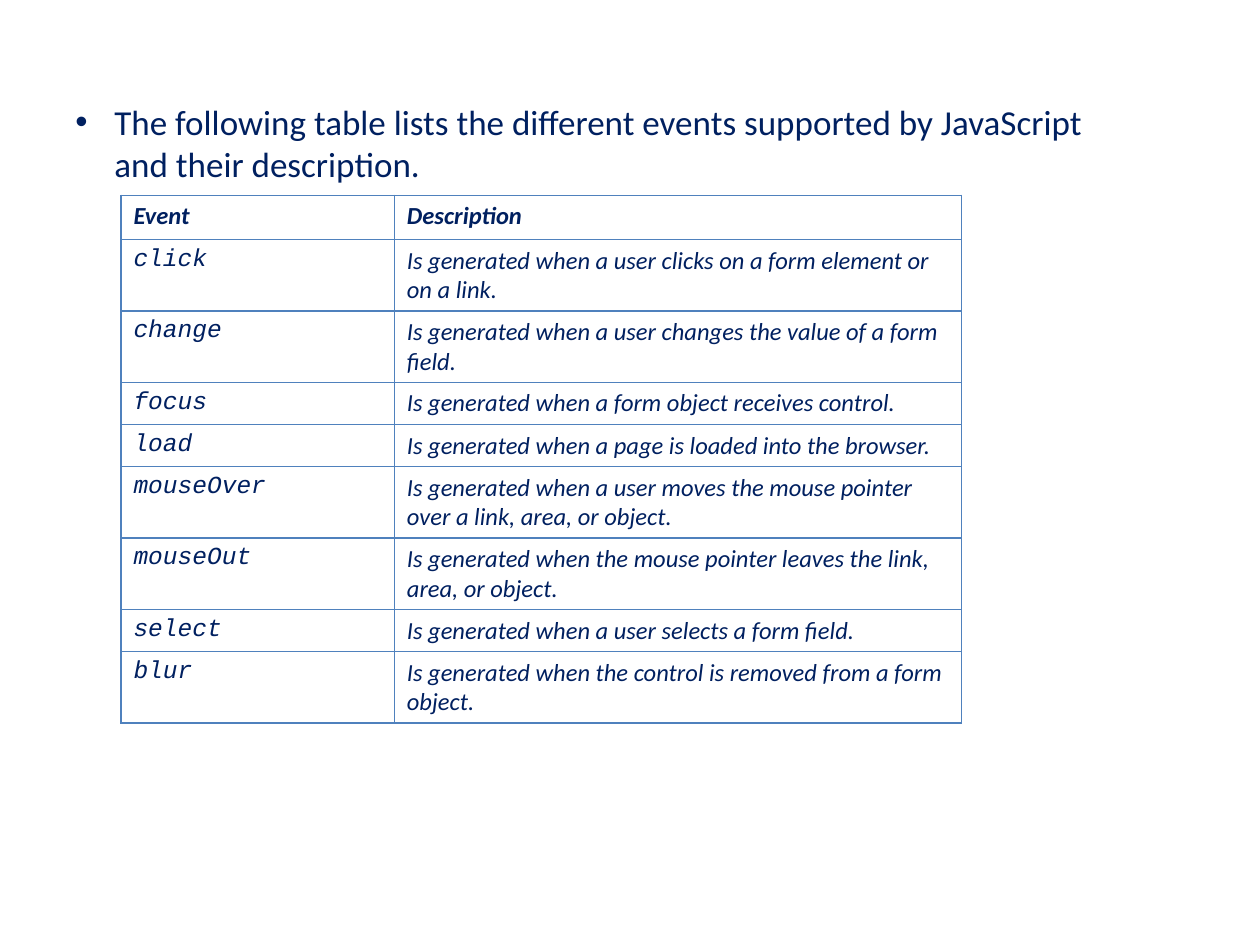
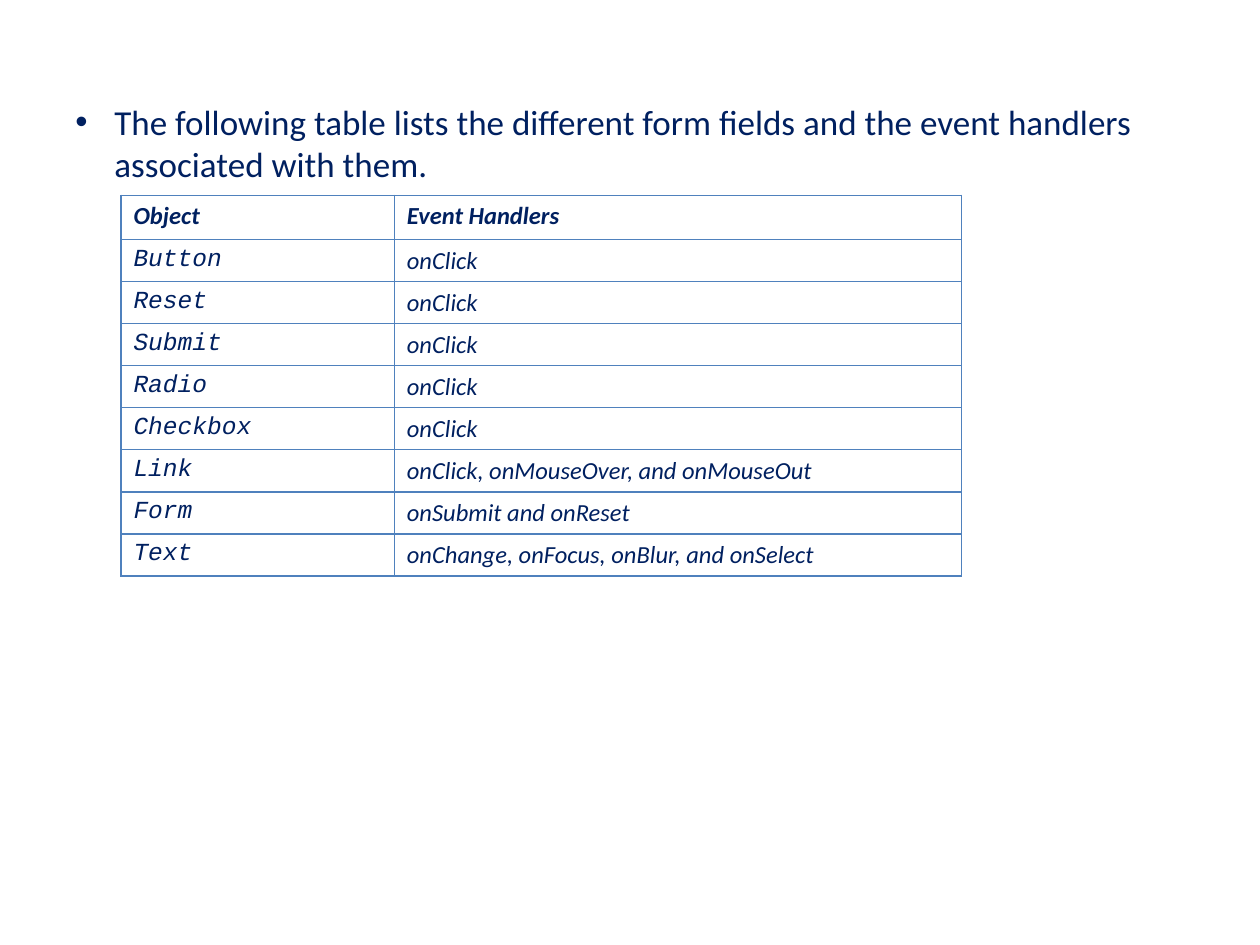
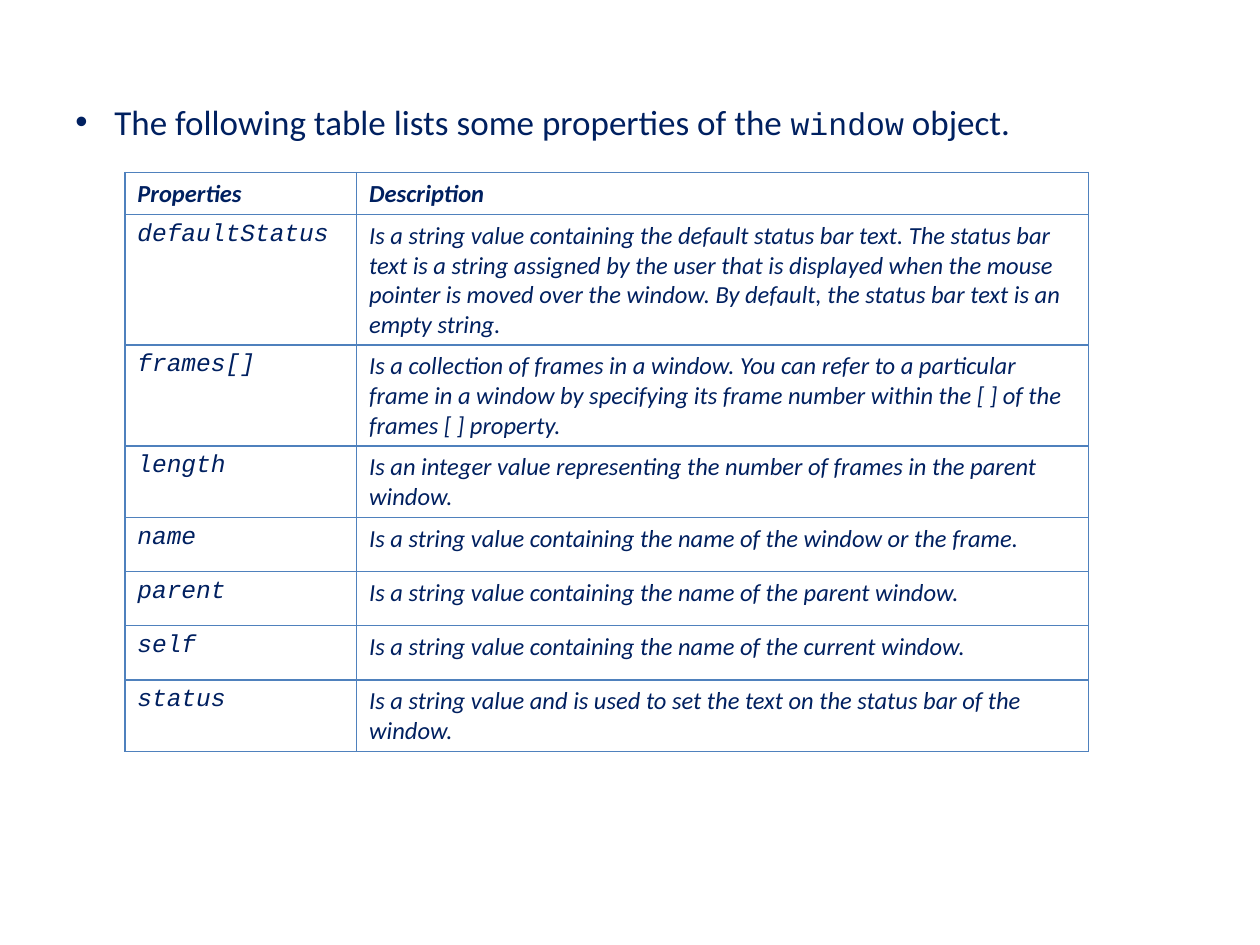
from lxml import etree
from pptx import Presentation
from pptx.dml.color import RGBColor
from pptx.enum import text
from pptx.oxml import ns
from pptx.util import Inches, Pt

NAVY = RGBColor(0x00, 0x20, 0x60)
BORDER_BLUE = RGBColor(0x4F, 0x81, 0xBD)
BODY_FONT = "Calibri"
CODE_FONT = "Courier New"

EVENTS = [
    ("Event", "Description"),
    ("click", "Is generated when a user clicks on a form element or on a link."),
    ("change", "Is generated when a user changes the value of a form field."),
    ("focus", "Is generated when a form object receives control."),
    ("load", "Is generated when a page is loaded into the browser."),
    ("mouseOver", "Is generated when a user moves the mouse pointer over a link, area, or object."),
    ("mouseOut", "Is generated when the mouse pointer leaves the link, area, or object."),
    ("select", "Is generated when a user selects a form field."),
    ("blur", "Is generated when the control is removed from a form object."),
]
HANDLERS = [
    ("Object", "Event Handlers"),
    *[(field, "onClick") for field in ("Button", "Reset", "Submit", "Radio", "Checkbox")],
    ("Link", "onClick, onMouseOver, and onMouseOut"),
    ("Form", "onSubmit and onReset"),
    ("Text", "onChange, onFocus, onBlur, and onSelect"),
]
PROPERTIES = [
    ("Properties", "Description"),
    ("defaultStatus", "Is a string value containing the default status bar text. The status bar "
     "text is a string assigned by the user that is displayed when the mouse pointer is moved "
     "over the window. By default, the status bar text is an empty string."),
    ("frames[]", "Is a collection of frames in a window. You can refer to a particular frame in "
     "a window by specifying its frame number within the [ ] of the frames [ ] property."),
    ("length", "Is an integer value representing the number of frames in the parent window."),
    ("name", "Is a string value containing the name of the window or the frame."),
    ("parent", "Is a string value containing the name of the parent window."),
    ("self", "Is a string value containing the name of the current window."),
    ("status", "Is a string value and is used to set the text on the status bar of the window."),
]

INTRO_BOX = (0.5, 0.75, 8.61, 0.77)
SHORT_INTRO_BOX = (0.5, 0.75, 8.14, 0.44)
LIST_BOX = (0.96, 1.55, 6.67, 2.75)
LIST_COLUMNS = (2.17, 4.5)
LIST_ROWS = [0.35] + [0.3] * 8
PROPERTY_BOX = (0.99, 1.37, 7.65, 4.34)
PROPERTY_COLUMNS = (1.84, 5.81)
PROPERTY_ROWS = [0.3, 0.96, 0.79, 0.5, 0.43, 0.43, 0.43, 0.5]

SLIDES = [
    ([("The following table lists the different events supported by JavaScript and their "
       "description.", BODY_FONT, 20)],
     INTRO_BOX, EVENTS, LIST_BOX, LIST_COLUMNS, LIST_ROWS),
    ([("The following table lists the different form fields and the event handlers associated "
       "with them.", BODY_FONT, 20)],
     INTRO_BOX, HANDLERS, LIST_BOX, LIST_COLUMNS, LIST_ROWS),
    ([("The following table lists some properties of the ", BODY_FONT, 20),
      ("window", CODE_FONT, 18), (" object.", BODY_FONT, 20)],
     SHORT_INTRO_BOX, PROPERTIES, PROPERTY_BOX, PROPERTY_COLUMNS, PROPERTY_ROWS),
]


def style_run(run, font_name, size, bold=False, italic=False):
    """Give a run its font in the shared text colour."""
    font = run.font
    font.name, font.size, font.bold, font.italic = font_name, Pt(size), bold, italic
    font.color.rgb = NAVY


def add_bullet(paragraph):
    """Set a hanging round bullet on a paragraph."""
    properties = paragraph._p.get_or_add_pPr()
    properties.set("marL", str(Inches(0.31)))
    properties.set("indent", str(Inches(-0.31)))
    etree.SubElement(properties, ns.qn("a:buFont"), typeface="Arial")
    etree.SubElement(properties, ns.qn("a:buChar"), char="•")


def add_intro(slide, box, parts):
    """Add the bulleted sentence above the table."""
    text_frame = slide.shapes.add_textbox(*map(Inches, box)).text_frame
    text_frame.word_wrap = True
    text_frame.auto_size = text.MSO_AUTO_SIZE.SHAPE_TO_FIT_TEXT
    paragraph = text_frame.paragraphs[0]
    paragraph.level = 1
    paragraph.space_before = paragraph.space_after = Pt(6)
    add_bullet(paragraph)
    for words, font_name, size in parts:
        run = paragraph.add_run()
        run.text = words
        style_run(run, font_name, size)


def add_borders(cell):
    """Draw a thin line on each side of a cell."""
    properties = cell._tc.get_or_add_tcPr()
    for position, side in enumerate(("lnL", "lnR", "lnT", "lnB")):
        line = etree.Element(ns.qn(f"a:{side}"), w=str(Pt(1)))
        fill = etree.SubElement(line, ns.qn("a:solidFill"))
        etree.SubElement(fill, ns.qn("a:srgbClr"), val=str(BORDER_BLUE))
        properties.insert(position, line)


def add_reference_table(slide, box, columns, heights, rows):
    """Add a two-column table of code names and their descriptions."""
    table = slide.shapes.add_table(len(rows), len(columns), *map(Inches, box)).table
    table.first_row = table.horz_banding = False
    for column, width in zip(table.columns, columns):
        column.width = Inches(width)
    for row_index, (row, height, values) in enumerate(zip(table.rows, heights, rows)):
        row.height = Inches(height)
        is_header = row_index == 0
        for column_index, (cell, value) in enumerate(zip(row.cells, values)):
            cell.fill.background()
            add_borders(cell)
            paragraph = cell.text_frame.paragraphs[0]
            paragraph.text = value
            is_code = column_index == 0 and not is_header
            style_run(paragraph.runs[0], CODE_FONT if is_code else BODY_FONT, 14,
                      bold=is_header, italic=True)


def main():
    """Build and save the presentation."""
    presentation = Presentation()
    presentation.slide_width, presentation.slide_height = Inches(10), Inches(7.5)
    for parts, intro_box, rows, table_box, columns, heights in SLIDES:
        slide = presentation.slides.add_slide(presentation.slide_layouts[6])
        add_intro(slide, intro_box, parts)
        add_reference_table(slide, table_box, columns, heights, rows)
    presentation.save("out.pptx")


if __name__ == "__main__":
    main()
